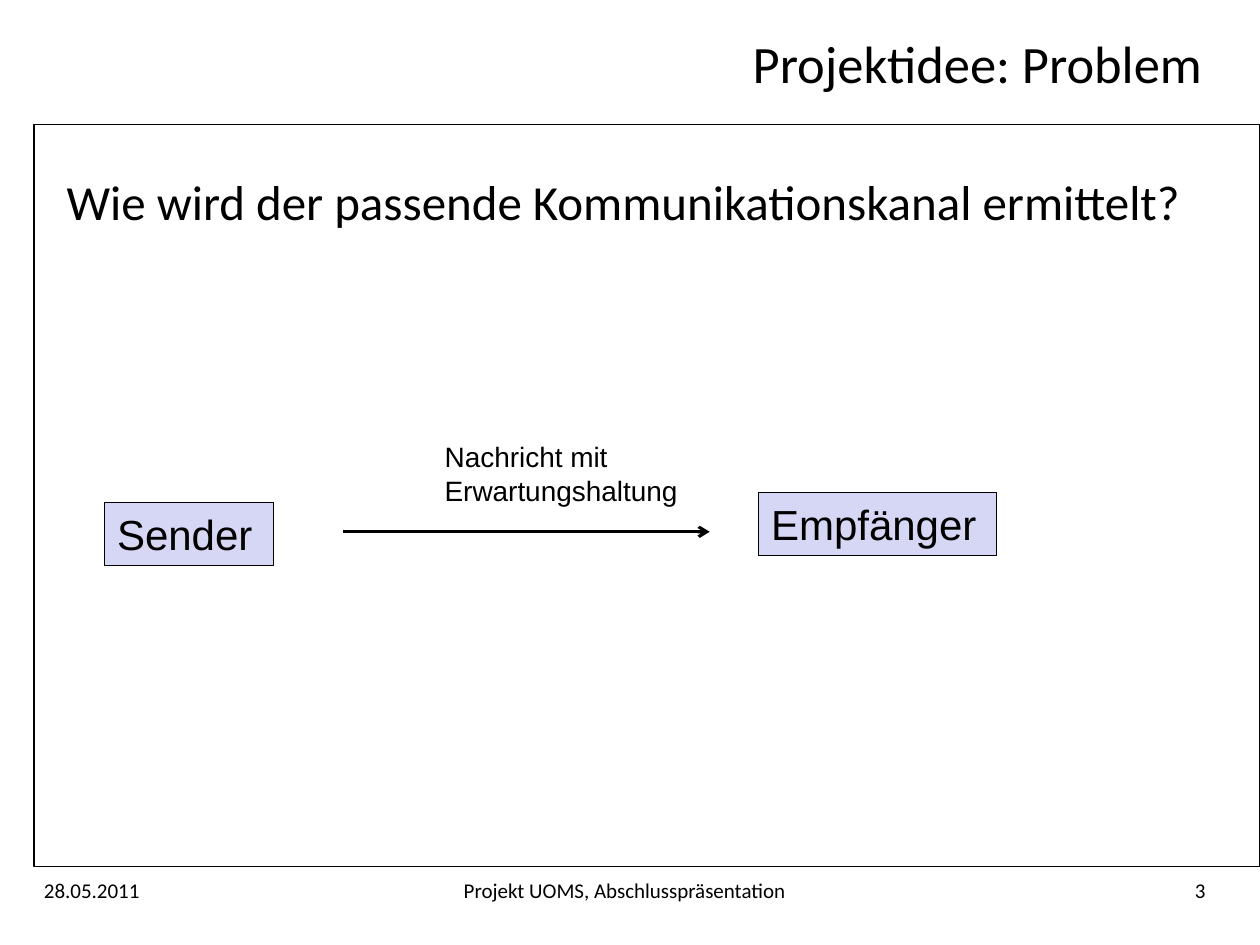
from lxml import etree
from pptx import Presentation
from pptx.dml.color import RGBColor
from pptx.enum import shapes, text
from pptx.oxml.ns import qn
from pptx.util import Pt

BLACK = RGBColor(0x00, 0x00, 0x00)
LAVENDER = RGBColor(0xD6, 0xD6, 0xF5)
LEFT, CENTER, RIGHT = text.PP_ALIGN.LEFT, text.PP_ALIGN.CENTER, text.PP_ALIGN.RIGHT
TOP, MIDDLE = text.MSO_ANCHOR.TOP, text.MSO_ANCHOR.MIDDLE


def write(shape, words, size, font, align=LEFT, anchor=TOP, wrap=True):
    frame = shape.text_frame
    frame.word_wrap = wrap
    frame.vertical_anchor = anchor
    frame.text = words
    para = frame.paragraphs[0]
    para.alignment = align
    para.font.size = Pt(size)
    para.font.name = font
    para.font.color.rgb = BLACK


def add_label(page, box, words, size, font, **layout):
    label = page.shapes.add_textbox(*map(Pt, box))
    write(label, words, size, font, **layout)


def add_rectangle(page, box, fill=None):
    rectangle = page.shapes.add_shape(shapes.MSO_SHAPE.RECTANGLE, *map(Pt, box))
    rectangle.shadow.inherit = False
    if fill is None:
        rectangle.fill.background()
    else:
        rectangle.fill.solid()
        rectangle.fill.fore_color.rgb = fill
    rectangle.line.color.rgb = BLACK
    rectangle.line.width = Pt(0.75)
    return rectangle


def add_arrow(page, left, right, y):
    arrow = page.shapes.add_connector(
        shapes.MSO_CONNECTOR.STRAIGHT, Pt(left), Pt(y), Pt(right), Pt(y))
    arrow.line.color.rgb = BLACK
    arrow.line.width = Pt(1.75)
    etree.SubElement(arrow.line._get_or_add_ln(), qn("a:tailEnd"), type="arrow")
    etree.SubElement(arrow._element.spPr, qn("a:effectLst"))


def add_header(page, left, top, width, height):
    add_label(page, (left, top, width, height), "Projektidee: Problem",
              30, "Calibri", align=RIGHT, anchor=MIDDLE)


def add_content(page, left, top, width, height):
    # Frame and question
    add_rectangle(page, (left, top, width, height))
    add_label(page, (left + 11.5, top + 23, 657.4, 41),
              "Wie wird der passende Kommunikationskanal ermittelt?", 28, "Calibri")

    # Sender and receiver
    for name, x, y, box_width in (("Sender", 40.3, 216, 96.5),
                                  ("Empfänger", 414, 210.2, 136.1)):
        party = add_rectangle(page, (left + x, top + y, box_width, 36), LAVENDER)
        write(party, name, 24, "Arial", wrap=False)

    # Message from one to the other
    add_arrow(page, left + 176.4, left + 386, top + 232.6)
    add_label(page, (left + 227.5, top + 176.4, 193, 46),
              "Nachricht mit Erwartungshaltung", 16, "Arial")


def add_footer(page, left, top, width, height):
    side = 120
    parts = (("28.05.2011", 0, side, LEFT),
             ("Projekt UOMS, Abschlusspräsentation", side, width - 2 * side, CENTER),
             ("3", width - side, side, RIGHT))
    for words, x, part_width, align in parts:
        add_label(page, (left + x, top, part_width, height), words,
                  12, "Calibri", align=align)


def main():
    deck = Presentation()
    deck.slide_width, deck.slide_height = Pt(720), Pt(540)
    page = deck.slides.add_slide(deck.slide_layouts[6])
    add_content(page, 19.5, 71.3, 700.5, 424)
    add_header(page, 222, 0, 472, 72)
    add_footer(page, 18, 498, 678, 36)
    deck.save("out.pptx")


if __name__ == "__main__":
    main()
